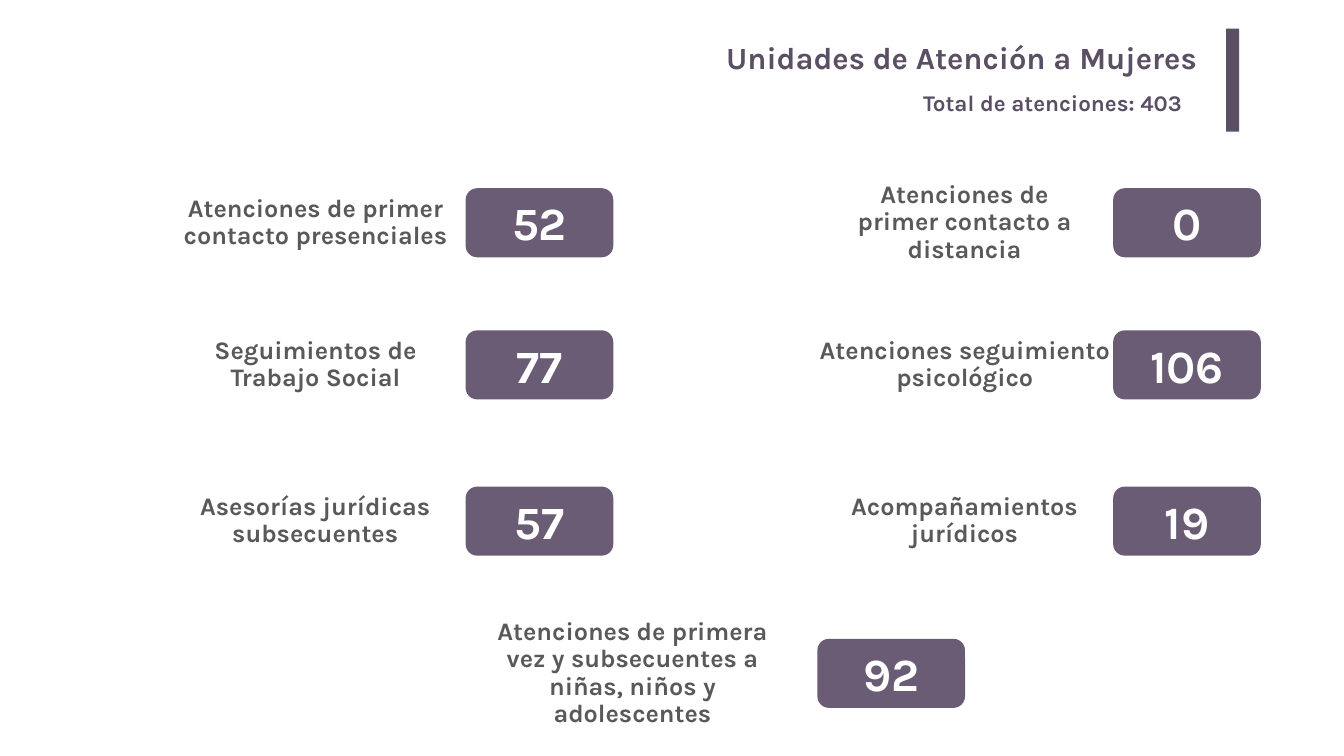
import pptx
import pptx.util
import pptx.dml.color
import pptx.enum.shapes
import pptx.enum.text

PX = 9144  # EMU per px, 100 px to the inch
FONT = "Karla"
DARK, PURPLE, GREY, WHITE = "5B4F63", "6A5C74", "595959", "FFFFFF"
SHAPE = pptx.enum.shapes.MSO_SHAPE
ALIGN = pptx.enum.text.PP_ALIGN
ANCHOR = pptx.enum.text.MSO_ANCHOR

# Content: label, value, label (left, width, height), badge left, row centre
TITLE = "Unidades de Atención a Mujeres"
TOTAL = "Total de atenciones: 403"
LEFT, RIGHT, MIDDLE = 924, 2209, 1622
ROWS = 442, 724, 1034, 1336
COUNTS = [
    ("Atenciones de primer contacto presenciales", "52", (352, 548, 137), LEFT, ROWS[0]),
    ("Atenciones de primer contacto a distancia", "0", (1656, 516, 121), RIGHT, ROWS[0]),
    ("Seguimientos de Trabajo Social", "77", (347, 558, 141), LEFT, ROWS[1]),
    ("Atenciones seguimiento psicológico", "106", (1524, 781, 53), RIGHT, ROWS[1]),
    ("Asesorías jurídicas subsecuentes", "57", (323, 605, 80), LEFT, ROWS[2]),
    ("Acompañamientos jurídicos", "19", (1591, 646, 64), RIGHT, ROWS[2]),
    ("Atenciones de primera vez y subsecuentes a niñas, niños y adolescentes",
     "92", (955, 600, 49), MIDDLE, ROWS[3]),
]
BADGE_W, BADGE_H = 293, 137
VALUE_W, VALUE_H = 204, 121


def color(value):
    return pptx.dml.color.RGBColor.from_string(value)


def box(*lengths):
    return [round(n * PX) for n in lengths]


def write(sp, text, size, fill, align, anchor=ANCHOR.TOP, inset=10, spacing=1.0):
    tf = sp.text_frame
    tf.word_wrap = True
    tf.auto_size = pptx.enum.text.MSO_AUTO_SIZE.NONE
    tf.vertical_anchor = anchor
    tf.margin_left = tf.margin_right = inset * PX
    tf.margin_top = tf.margin_bottom = inset * PX // 2
    tf.text = text
    p = tf.paragraphs[0]
    p.alignment = align
    p.line_spacing = spacing
    p.font.name = FONT
    p.font.size = pptx.util.Pt(size)
    p.font.bold = True
    p.font.color.rgb = color(fill)


def block(s, kind, fill, *lengths):
    sp = s.shapes.add_shape(kind, *box(*lengths))
    sp.shadow.inherit = False
    sp.fill.solid()
    sp.fill.fore_color.rgb = color(fill)
    sp.line.fill.background()
    return sp


prs = pptx.Presentation()
prs.slide_width, prs.slide_height = box(2667, 1500)
s = prs.slides.add_slide(prs.slide_layouts[5])

# Heading with its vertical bar
title = s.shapes.title
title.left, title.top, title.width, title.height = box(366, 67, 2030, 102)
write(title, TITLE, 44, DARK, ALIGN.RIGHT, inset=20)
block(s, SHAPE.RECTANGLE, DARK, 2433, 57, 26, 204)
write(s.shapes.add_textbox(*box(1822, 171, 592, 64)), TOTAL, 32, DARK, ALIGN.LEFT)

# Each label and its badge share one centre line
for label, value, (x, w, h), badge_x, mid in COUNTS:
    block(s, SHAPE.ROUNDED_RECTANGLE, PURPLE,
          badge_x, mid - BADGE_H / 2, BADGE_W, BADGE_H)
    value_x = badge_x + (BADGE_W - VALUE_W) / 2
    sp = s.shapes.add_textbox(*box(value_x, mid - VALUE_H / 2, VALUE_W, VALUE_H))
    write(sp, value, 66, WHITE, ALIGN.CENTER)
    sp = s.shapes.add_textbox(*box(x, mid - h / 2, w, h))
    write(sp, label, 36, GREY, ALIGN.CENTER, ANCHOR.MIDDLE, spacing=0.9)

prs.save("out.pptx")
